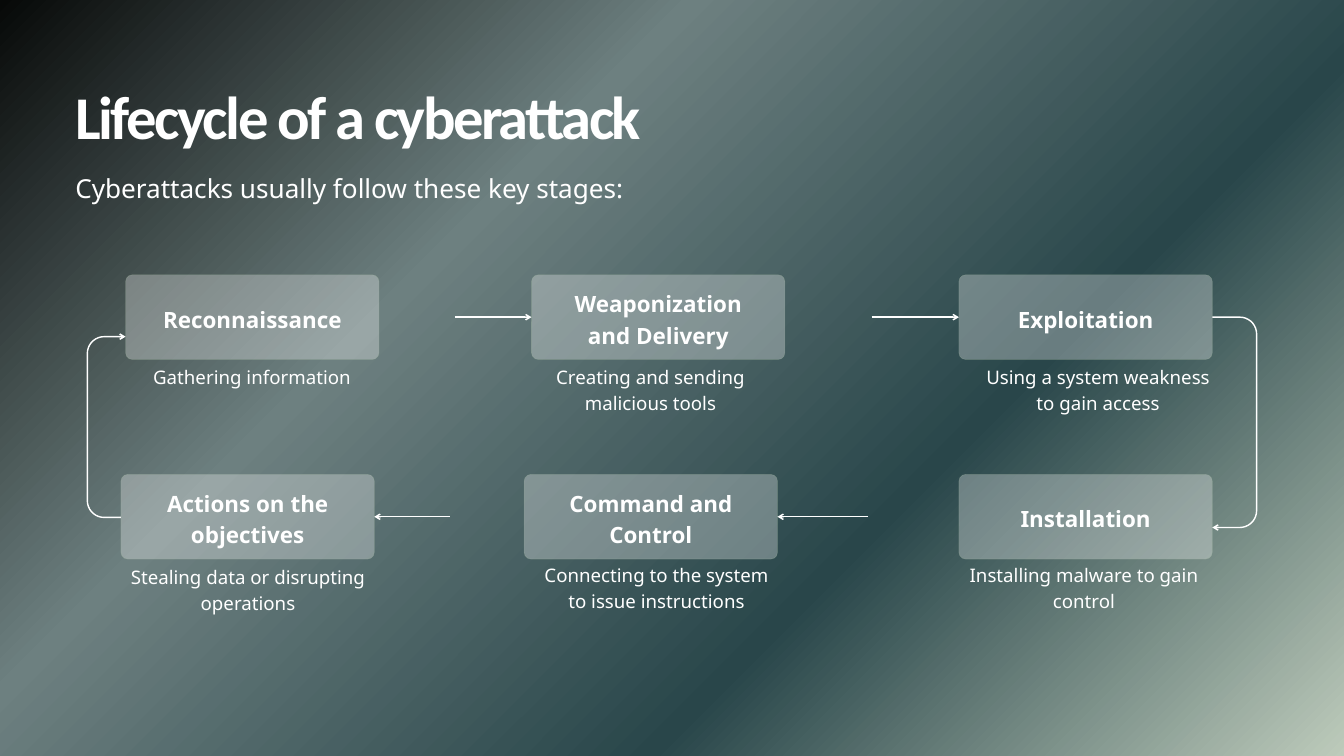
import math

from lxml import etree
from pptx import Presentation
from pptx import util as u
from pptx.dml.color import RGBColor
from pptx.enum import shapes, text
from pptx.oxml.ns import qn

WIDTH, HEIGHT = 20, 11.25
WHITE, EDGE = "FFFFFF", "9EB49F"
BODY_FONT, TITLE_FONT = "Noto Sans", "Calibri"
GRADIENT = [(0, "070908"), (33, "6D8080"), (67, "29464A"), (100, "BDCBBB")]

MARGIN = 1.12
TITLE = "Lifecycle of a cyberattack"
SUBTITLE = "Cyberattacks usually follow these key stages:"

BOX_WIDTH, BOX_HEIGHT = 3.77, 1.26
BOX_INSET, BOX_RADIUS = 0.29, 0.1
ROW_TOPS = [4.09, 7.06]
CAPTION_WIDTH, CAPTION_HEIGHT = 3.54, 0.78
TURN_RADIUS = 0.25

# name, caption, row, box left, caption left, caption top
STAGES = [
    ("Reconnaissance", "Gathering information", 0, 1.87, 1.98, 5.39),
    ("Weaponization and Delivery", "Creating and sending malicious tools", 0, 7.91, 7.91, 5.39),
    ("Exploitation", "Using a system weakness to gain access", 0, 14.27, 14.57, 5.39),
    ("Installation", "Installing malware to gain control", 1, 14.27, 14.36, 8.33),
    ("Command and\nControl", "Connecting to the system to issue instructions", 1, 7.8, 8, 8.33),
    ("Actions on the objectives", "Stealing data or disrupting operations", 1, 1.8, 1.92, 8.36),
]
# arrow start x, index of the stage it reaches, side of that box (1 left, 3 right)
ARROWS = [(6.77, 1, 1), (12.97, 2, 1), (12.92, 4, 3), (6.69, 5, 3)]
# start, x of the far side, end
TURNS = [((18.04, 4.72), 18.7, (18.04, 7.85)), ((1.8, 7.7), 1.3, (1.87, 5.01))]


def rgb(value):
    return RGBColor.from_string(value)


def add_alpha(fill, percent):
    """Make the solid colour inside an XML parent partly transparent."""
    color = fill.find(qn("a:solidFill")).find(qn("a:srgbClr"))
    etree.SubElement(color, qn("a:alpha"), val=str(percent * 1000))


def paint_background(slide):
    fill = slide.background.fill
    fill.gradient()
    fill.gradient_angle = 315
    stops = next(slide.element.iter(qn("a:gsLst")))
    for stop in list(stops):
        stops.remove(stop)
    for position, color in GRADIENT:
        stop = etree.SubElement(stops, qn("a:gs"), pos=str(position * 1000))
        etree.SubElement(stop, qn("a:srgbClr"), val=color)


def write(shape, words, size, spacing, align, anchor=text.MSO_ANCHOR.TOP,
          inset=0, font=BODY_FONT, bold=False):
    frame = shape.text_frame
    frame.text = words
    frame.word_wrap = True
    frame.auto_size = text.MSO_AUTO_SIZE.NONE
    frame.vertical_anchor = anchor
    frame.margin_left = frame.margin_right = u.Inches(inset)
    frame.margin_top = frame.margin_bottom = 0
    for paragraph in frame.paragraphs:
        paragraph.alignment = align
        paragraph.line_spacing = u.Pt(spacing)
        paragraph.font.name = font
        paragraph.font.size = u.Pt(size)
        paragraph.font.bold = bold
        paragraph.font.color.rgb = rgb(WHITE)


def add_text(slide, left, top, width, height, *args, **kwargs):
    box = slide.shapes.add_textbox(*map(u.Inches, (left, top, width, height)))
    write(box, *args, **kwargs)


def add_title(slide):
    title = slide.shapes.title
    title.left, title.top, title.width, title.height = map(
        u.Inches, (MARGIN, 0.99, 16.61, 1.22))
    write(title, TITLE, 65, 91, text.PP_ALIGN.LEFT, font=TITLE_FONT, bold=True)
    title.text_frame.paragraphs[0].runs[0].font._element.set("spc", "-270")


def add_box(slide, name, row, left):
    box = slide.shapes.add_shape(
        shapes.MSO_SHAPE.ROUNDED_RECTANGLE,
        *map(u.Inches, (left, ROW_TOPS[row], BOX_WIDTH, BOX_HEIGHT)))
    box.adjustments[0] = BOX_RADIUS / BOX_HEIGHT
    box.shadow.inherit = False
    box.fill.solid()
    box.fill.fore_color.rgb = rgb(WHITE)
    box.line.color.rgb = rgb(EDGE)
    box.line.width = u.Pt(0.75)
    properties = box._element.spPr
    for parent in (properties, properties.find(qn("a:ln"))):
        add_alpha(parent, 30)
    write(box, name, 24, 33.6, text.PP_ALIGN.CENTER, text.MSO_ANCHOR.MIDDLE, BOX_INSET, bold=True)
    return box


def style_arrow(shape):
    shape.line.color.rgb = rgb(WHITE)
    shape.line.width = u.Pt(1.5)
    properties = shape._element.spPr
    etree.SubElement(properties.find(qn("a:ln")), qn("a:tailEnd"), type="arrow")
    etree.SubElement(properties, qn("a:effectLst"))


def add_arrow(slide, start_x, box, side):
    y = box.top + box.height // 2
    arrow = slide.shapes.add_connector(
        shapes.MSO_CONNECTOR.STRAIGHT, u.Inches(start_x), y, box.left, y)
    arrow.end_connect(box, side)
    style_arrow(arrow)


def add_turn(slide, start, far_x, end):
    """Draw a U-shaped arrow with two rounded corners."""
    across = math.copysign(TURN_RADIUS, far_x - start[0])
    down = math.copysign(TURN_RADIUS, end[1] - start[1])
    angles = [math.radians(degrees) for degrees in range(0, 91, 10)]
    center_x = far_x - across
    first = [(center_x + across * math.sin(a), start[1] + down * (1 - math.cos(a)))
             for a in angles]
    second = [(center_x + across * math.cos(a), end[1] - down * (1 - math.sin(a)))
              for a in angles]
    points = [(u.Inches(x), u.Inches(y)) for x, y in [start, *first, *second, end]]
    builder = slide.shapes.build_freeform(*points[0])
    builder.add_line_segments(points[1:], close=False)
    turn = builder.convert_to_shape()
    turn.fill.background()
    style_arrow(turn)


def main():
    presentation = Presentation()
    presentation.slide_width = u.Inches(WIDTH)
    presentation.slide_height = u.Inches(HEIGHT)
    slide = presentation.slides.add_slide(presentation.slide_layouts.get_by_name("Title Only"))
    paint_background(slide)
    add_title(slide)
    add_text(slide, MARGIN, 2.56, 14.29, 0.47, SUBTITLE, 28, 33.6, text.PP_ALIGN.LEFT)

    boxes = []
    for name, caption, row, left, caption_left, caption_top in STAGES:
        boxes.append(add_box(slide, name, row, left))
        add_text(slide, caption_left, caption_top, CAPTION_WIDTH, CAPTION_HEIGHT,
                 caption, 20, 28, text.PP_ALIGN.CENTER)
    for start_x, stage, side in ARROWS:
        add_arrow(slide, start_x, boxes[stage], side)
    for turn in TURNS:
        add_turn(slide, *turn)
    presentation.save("out.pptx")


if __name__ == "__main__":
    main()
